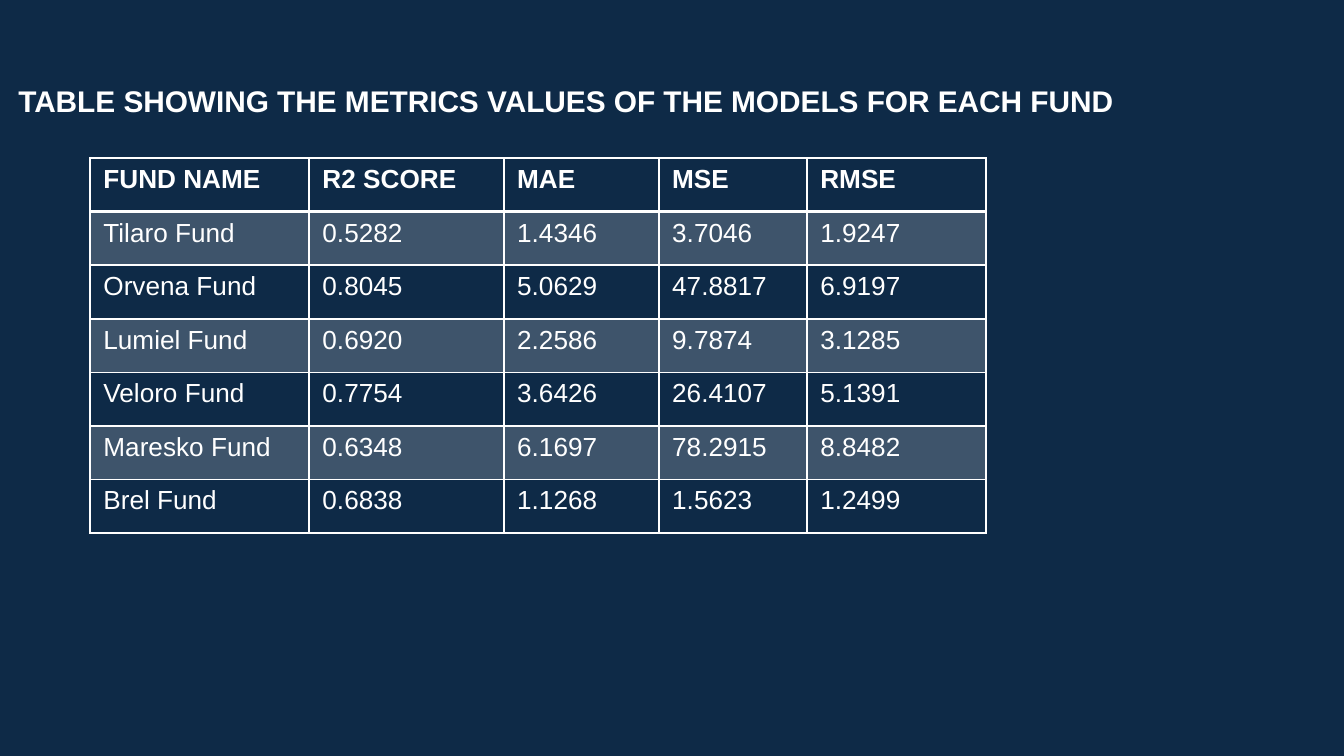
"""Build a slide with a table of model metrics for each fund."""
from lxml.etree import SubElement
from pptx import Presentation
from pptx.dml.color import RGBColor
from pptx.enum.text import MSO_ANCHOR, PP_ALIGN
from pptx.oxml import parse_xml
from pptx.oxml.ns import nsdecls, qn
from pptx.util import Cm, Pt

NAVY = RGBColor(0x0E, 0x2A, 0x47)
WHITE = RGBColor(0xFF, 0xFF, 0xFF)
FONT = "Arial"
BAND_ALPHA = 20000

TITLE = "TABLE SHOWING THE METRICS VALUES OF THE MODELS FOR EACH FUND"
ROWS = [
    ("FUND NAME", "R2 SCORE", "MAE", "MSE", "RMSE"),
    ("Tilaro Fund", "0.5282", "1.4346", "3.7046", "1.9247"),
    ("Orvena Fund", "0.8045", "5.0629", "47.8817", "6.9197"),
    ("Lumiel Fund", "0.6920", "2.2586", "9.7874", "3.1285"),
    ("Veloro Fund", "0.7754", "3.6426", "26.4107", "5.1391"),
    ("Maresko Fund", "0.6348", "6.1697", "78.2915", "8.8482"),
    ("Brel Fund", "0.6838", "1.1268", "1.5623", "1.2499"),
]
COLUMN_WIDTHS = [4.14, 3.68, 2.93, 2.8, 3.38]
TABLE_HEIGHT = 7.09


def add_span(para, text, size, bold):
    span = para.add_run()
    span.text = text
    span.font.name = FONT
    span.font.size = Pt(size)
    span.font.bold = bold
    span.font.color.rgb = WHITE


def fill_cell(cell, banded):
    if not banded:
        cell.fill.background()
        return
    cell.fill.solid()
    cell.fill.fore_color.rgb = WHITE
    color = cell._tc.tcPr.find(".//" + qn("a:srgbClr"))
    SubElement(color, qn("a:alpha"), val=str(BAND_ALPHA))


def add_borders(cell, top, bottom):
    widths = {"lnL": 1, "lnR": 1, "lnT": top, "lnB": bottom}
    for position, (side, width) in enumerate(widths.items()):
        line = parse_xml(
            f'<a:{side} {nsdecls("a")} w="{Pt(width)}"><a:solidFill>'
            f'<a:srgbClr val="{WHITE}"/></a:solidFill></a:{side}>'
        )
        cell._tc.tcPr.insert(position, line)


def add_title(page):
    box = page.shapes.add_textbox(Cm(0), Cm(1.32), Cm(21.41), Cm(1.57))
    frame = box.text_frame
    frame.word_wrap = True
    frame.vertical_anchor = MSO_ANCHOR.TOP
    frame.margin_left = frame.margin_right = Cm(0.25)
    frame.margin_top = frame.margin_bottom = Cm(0.25)
    para = frame.paragraphs[0]
    para.alignment = PP_ALIGN.CENTER
    add_span(para, TITLE, 16, True)


def add_metrics_table(page):
    table = page.shapes.add_table(
        len(ROWS), len(COLUMN_WIDTHS), Cm(1.7), Cm(2.99),
        Cm(sum(COLUMN_WIDTHS)), Cm(TABLE_HEIGHT),
    ).table
    table.horz_banding = False
    for column, width in zip(table.columns, COLUMN_WIDTHS):
        column.width = Cm(width)
    for index, values in enumerate(ROWS):
        table.rows[index].height = Cm(TABLE_HEIGHT / len(ROWS))
        for column_index, value in enumerate(values):
            cell = table.cell(index, column_index)
            add_span(cell.text_frame.paragraphs[0], value, 14, index == 0)
            fill_cell(cell, index % 2 == 1)
            add_borders(cell, 1, 2 if index == 0 else 1)


def main():
    deck = Presentation()
    deck.slide_width, deck.slide_height = Cm(25.4), Cm(14.29)
    page = deck.slides.add_slide(deck.slide_layouts[6])
    page.background.fill.solid()
    page.background.fill.fore_color.rgb = NAVY
    add_title(page)
    add_metrics_table(page)
    deck.save("out.pptx")


if __name__ == "__main__":
    main()
